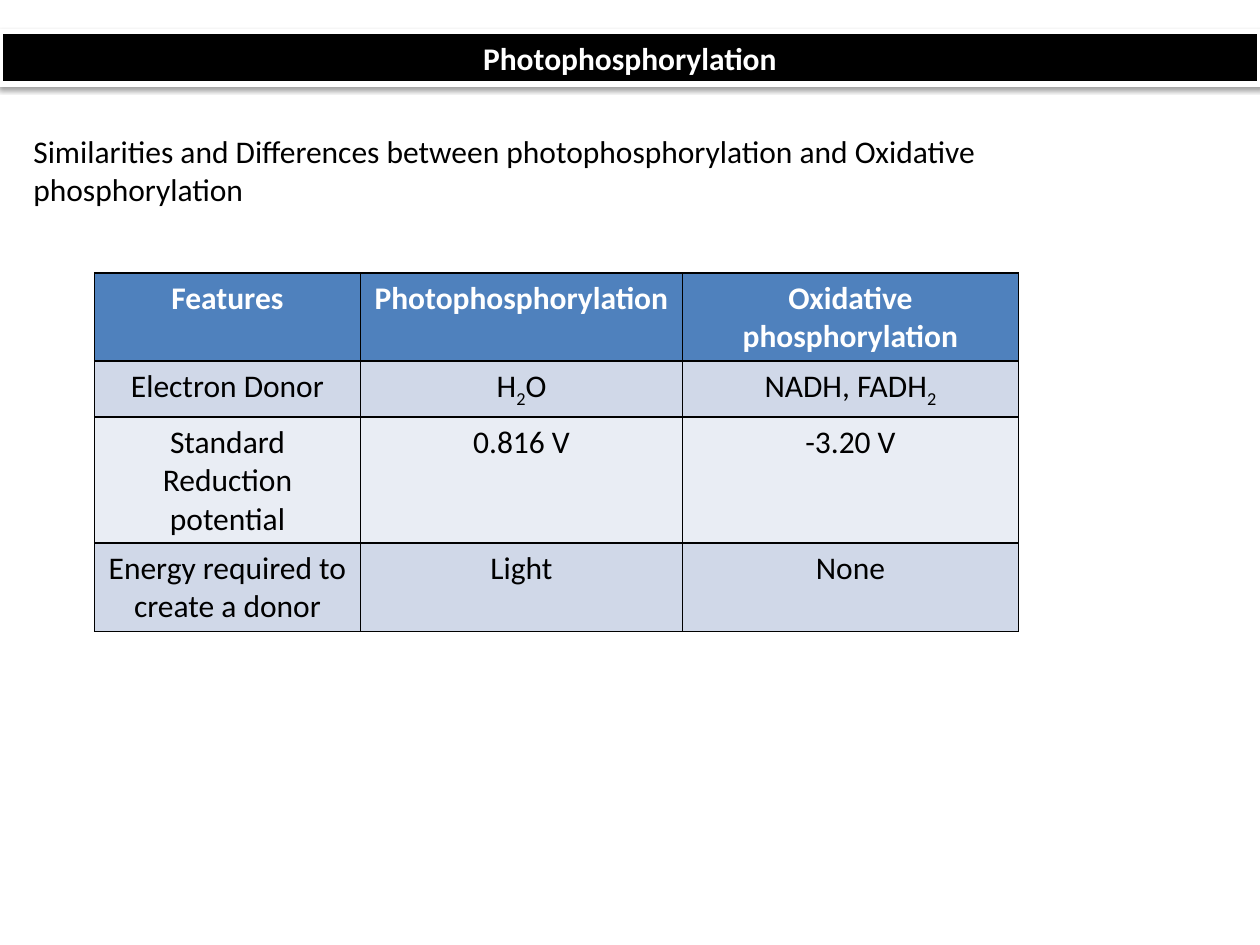
import dataclasses
import typing

import pptx
import pptx.dml.color
import pptx.enum.shapes
import pptx.enum.text
import pptx.oxml
import pptx.oxml.ns
import pptx.util

Pt = pptx.util.Pt
ALIGN = pptx.enum.text.PP_ALIGN
NS = pptx.oxml.ns.nsdecls("a")

HUES = {
    "black": "000000",
    "white": "FFFFFF",
    "head": "4F81BD",
    "dark": "D0D8E8",
    "light": "E9EDF4",
}


@dataclasses.dataclass
class Row:
    cells: tuple[str, str, str]
    height: float
    fill: str
    ink: str = "black"
    bold: bool = False


WIDTHS = (152, 184, 192)
ROWS = (
    Row(("Features", "Photophosphorylation", "Oxidative phosphorylation"),
        50.4, "head", "white", True),
    Row(("Electron Donor", "H_2_O", "NADH, FADH_2_"), 32, "dark"),
    Row(("Standard Reduction potential", "0.816 V", "-3.20 V"), 72, "light"),
    Row(("Energy required to create a donor", "Light", "None"), 50.4, "dark"),
)


def tint(name: str) -> pptx.dml.color.RGBColor:
    return pptx.dml.color.RGBColor.from_string(HUES[name])


def paint(part: typing.Any, name: str) -> None:
    part.fill.solid()
    part.fill.fore_color.rgb = tint(name)


def write(frame: typing.Any, text: str, *, ink: str = "black",
          bold: bool = False, align: ALIGN = ALIGN.CENTER) -> None:
    """Fill a text frame; parts between underscores become subscripts."""
    frame.word_wrap = True
    para = frame.paragraphs[0]
    para.alignment = align
    for place, piece in enumerate(text.split("_")):
        if not piece:
            continue
        run = para.add_run()
        run.text = piece
        run.font.name = "Calibri"
        run.font.size = Pt(18)
        run.font.bold = bold
        run.font.color.rgb = tint(ink)
        if place % 2:
            run._r.get_or_add_rPr().set("baseline", "-25000")


def shade(shape: typing.Any) -> None:
    """Cast a soft shadow straight down."""
    shape.shadow.inherit = False
    old = shape._element.spPr.find(pptx.oxml.ns.qn("a:effectLst"))
    old.append(pptx.oxml.parse_xml(
        f'<a:outerShdw {NS} blurRad="{Pt(3.1)}" dist="{Pt(1.6)}" '
        f'dir="5400000" rotWithShape="0"><a:srgbClr val="{HUES["black"]}">'
        '<a:alpha val="38000"/></a:srgbClr></a:outerShdw>'))


def edge(cell: typing.Any) -> None:
    """Draw the four borders; they must come before the cell's fill."""
    props = cell._tc.get_or_add_tcPr()
    for place, side in enumerate(("lnL", "lnR", "lnT", "lnB")):
        props.insert(place, pptx.oxml.parse_xml(
            f'<a:{side} {NS} w="{Pt(1)}"><a:solidFill>'
            f'<a:srgbClr val="{HUES["black"]}"/></a:solidFill></a:{side}>'))


def grid(slide: typing.Any, left: float, top: float) -> None:
    high = sum(row.height for row in ROWS)
    table = slide.shapes.add_table(
        len(ROWS), len(WIDTHS), Pt(left), Pt(top),
        Pt(sum(WIDTHS)), Pt(high)).table
    for column, width in zip(table.columns, WIDTHS):
        column.width = Pt(width)
    for line, row in zip(table.rows, ROWS):
        line.height = Pt(row.height)
        for cell, text in zip(line.cells, row.cells):
            write(cell.text_frame, text, ink=row.ink, bold=row.bold)
            paint(cell, row.fill)
            edge(cell)


def main() -> None:
    deck = pptx.Presentation()
    deck.slide_width, deck.slide_height = Pt(720), Pt(540)
    slide = deck.slides.add_slide(deck.slide_layouts[6])

    # Title bar
    bar = slide.shapes.add_shape(
        pptx.enum.shapes.MSO_SHAPE.RECTANGLE, Pt(0), Pt(18), Pt(720), Pt(30))
    paint(bar, "black")
    bar.line.color.rgb = tint("white")
    bar.line.width = Pt(3)
    shade(bar)
    write(bar.text_frame, "Photophosphorylation", ink="white", bold=True)

    # Lead text
    lead = slide.shapes.add_textbox(Pt(12), Pt(72), Pt(612), Pt(51))
    write(lead.text_frame,
          "Similarities and Differences between photophosphorylation "
          "and Oxidative phosphorylation", align=ALIGN.LEFT)

    # Comparison table
    grid(slide, 54, 156)

    deck.save("out.pptx")


if __name__ == "__main__":
    main()
